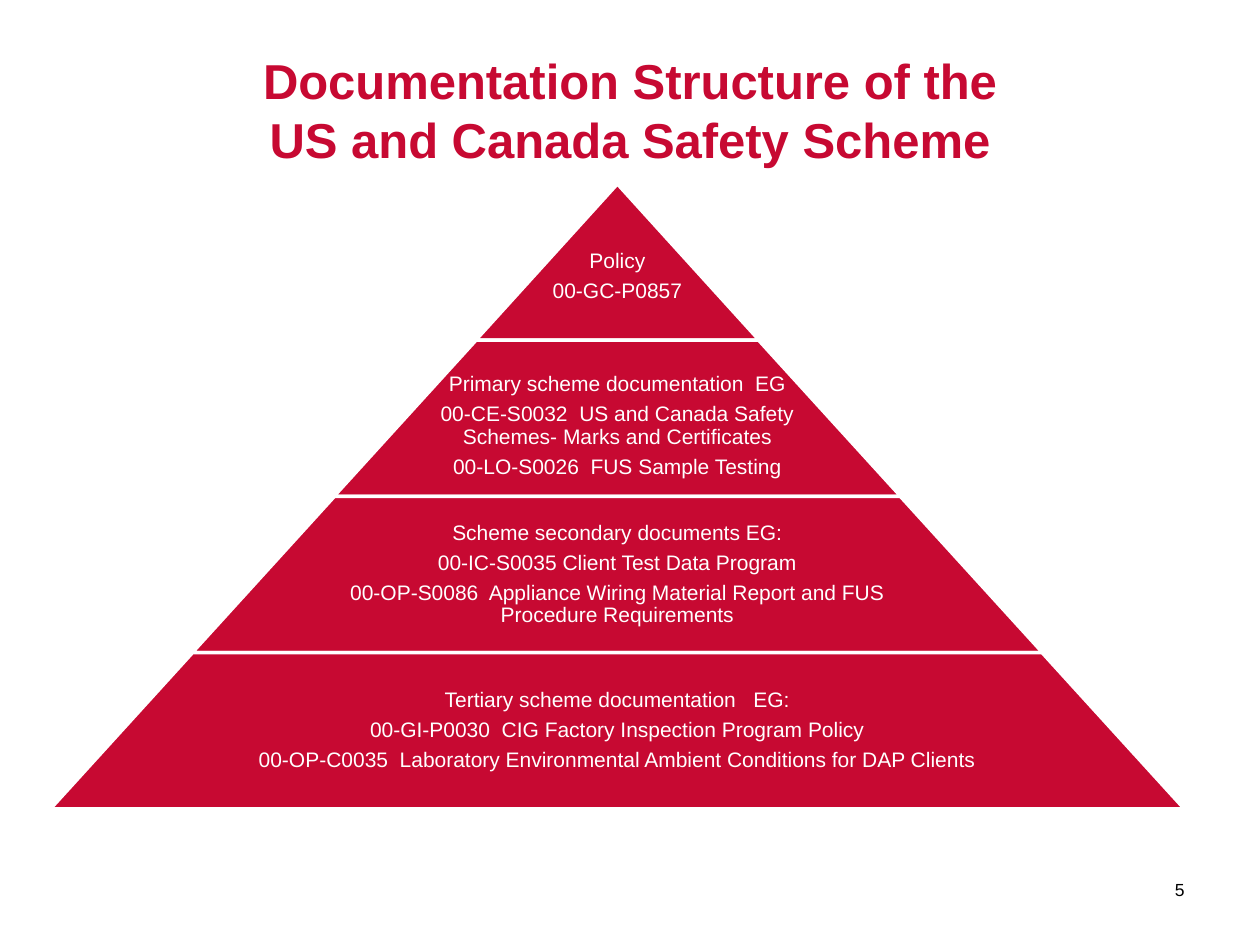
from dataclasses import dataclass

from pptx import Presentation
from pptx.dml.color import RGBColor
from pptx.enum.shapes import MSO_SHAPE
from pptx.enum.text import MSO_ANCHOR, MSO_AUTO_SIZE, PP_ALIGN
from pptx.util import Inches, Pt

TRAPEZOID = MSO_SHAPE.TRAPEZOID
TOP, MIDDLE = MSO_ANCHOR.TOP, MSO_ANCHOR.MIDDLE
CENTER, RIGHT = PP_ALIGN.CENTER, PP_ALIGN.RIGHT
NO_AUTOFIT = MSO_AUTO_SIZE.NONE
TITLE_ONLY = 5


@dataclass(frozen=True)
class Theme:
    font: str = "Arial"
    red: RGBColor = RGBColor(0xC7, 0x09, 0x32)
    white: RGBColor = RGBColor(0xFF, 0xFF, 0xFF)
    black: RGBColor = RGBColor(0, 0, 0)
    title_size: float = 28
    body_size: float = 12
    number_size: float = 10


def write_text(frame, lines, *, font, size, color, bold=False, align=CENTER,
               anchor=MIDDLE, spacing=1.0, after=0, inset=0.1, top_inset=0.05):
    """Fill a text frame with one paragraph per line; \\v breaks a line."""
    frame.word_wrap = True
    frame.auto_size = NO_AUTOFIT
    frame.vertical_anchor = anchor
    frame.margin_left = frame.margin_right = Inches(inset)
    frame.margin_top = Inches(top_inset)
    frame.margin_bottom = Inches(min(inset, 0.05))
    for index, line in enumerate(lines):
        para = frame.paragraphs[0] if index == 0 else frame.add_paragraph()
        para.alignment = align
        para.line_spacing = spacing
        para.space_before = Pt(0)
        para.space_after = Pt(after)
        for part_index, part in enumerate(line.split("\v")):
            if part_index:
                para.add_line_break()
            span = para.add_run()
            span.text = part
            span.font.name = font
            span.font.size = Pt(size)
            span.font.bold = bold
            span.font.color.rgb = color


class PageBuilder:
    """Holds the style and the current slide."""

    def __init__(self, deck, theme):
        self.theme = theme
        self.page = deck.slides.add_slide(deck.slide_layouts[TITLE_ONLY])

    def title(self, text, left, top, width, height):
        box = self.page.shapes.title
        box.left, box.top = Inches(left), Inches(top)
        box.width, box.height = Inches(width), Inches(height)
        write_text(box.text_frame, [text], font=self.theme.font,
                   size=self.theme.title_size, color=self.theme.red,
                   bold=True, anchor=TOP, top_inset=0.1)

    def tier(self, shapes, left, top, width, height, slope):
        tier = shapes.add_shape(TRAPEZOID, Inches(left), Inches(top),
                                Inches(width), Inches(height))
        tier.adjustments[0] = slope
        tier.shadow.inherit = False
        tier.fill.solid()
        tier.fill.fore_color.rgb = self.theme.red
        tier.line.color.rgb = self.theme.white
        tier.line.width = Pt(2)

    def text(self, shapes, lines, left, top, width, height, **style):
        box = shapes.add_textbox(Inches(left), Inches(top),
                                 Inches(width), Inches(height))
        write_text(box.text_frame, lines, font=self.theme.font, **style)

    def pyramid(self, tiers, center, top, step, height, slope):
        group = self.page.shapes.add_group_shape()
        for level, (text_width, top_inset, lines) in enumerate(tiers):
            tier_top = top + level * height
            width = step * (level + 1)
            self.tier(group.shapes, center - width / 2, tier_top,
                      width, height, slope)
            self.text(group.shapes, lines, center - text_width / 2, tier_top,
                      text_width, height, size=self.theme.body_size,
                      color=self.theme.white, spacing=0.9, after=4.2,
                      inset=0.02, top_inset=top_inset)


# Text width, top inset and lines of each tier, from the peak down
TIERS = [
    (2.25, 0.25, ["Policy", "00-GC-P0857"]),
    (2.92, 0.14, [
        "Primary scheme documentation  EG",
        "00-CE-S0032  US and Canada Safety Schemes- Marks and Certificates",
        "00-LO-S0026  FUS Sample Testing",
    ]),
    (4.39, 0.02, [
        "Scheme secondary documents EG:",
        "00-IC-S0035 Client Test Data Program",
        "00-OP-S0086  Appliance Wiring Material Report and FUS "
        "Procedure Requirements",
    ]),
    (5.85, 0.02, [
        "Tertiary scheme documentation   EG:",
        "00-GI-P0030  CIG Factory Inspection Program Policy",
        "00-OP-C0035  Laboratory Environmental Ambient Conditions "
        "for DAP Clients",
    ]),
]


def main():
    deck = Presentation()
    deck.slide_width, deck.slide_height = Inches(10), Inches(7.5)
    theme = Theme()
    builder = PageBuilder(deck, theme)

    # Title
    builder.title("Documentation Structure of the\vUS and Canada Safety Scheme",
                  0.5, 0.3, 9, 1.25)

    # Document pyramid
    builder.pyramid(TIERS, center=4.9, top=1.46, step=2.25, height=1.24,
                    slope=0.91)

    # Page number
    builder.text(builder.page.shapes, ["5"], 8.8, 6.86, 0.7, 0.4,
                 size=theme.number_size, color=theme.black, align=RIGHT)

    deck.save("out.pptx")


if __name__ == "__main__":
    main()
